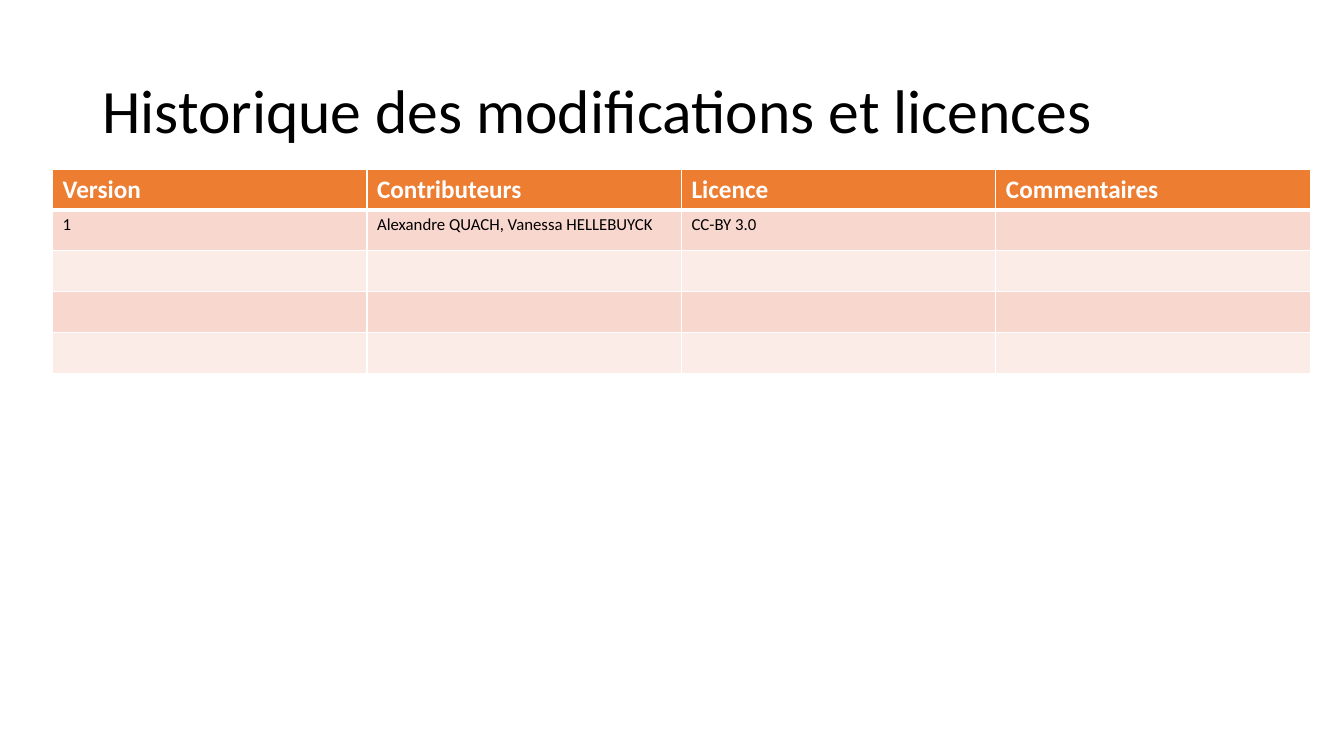
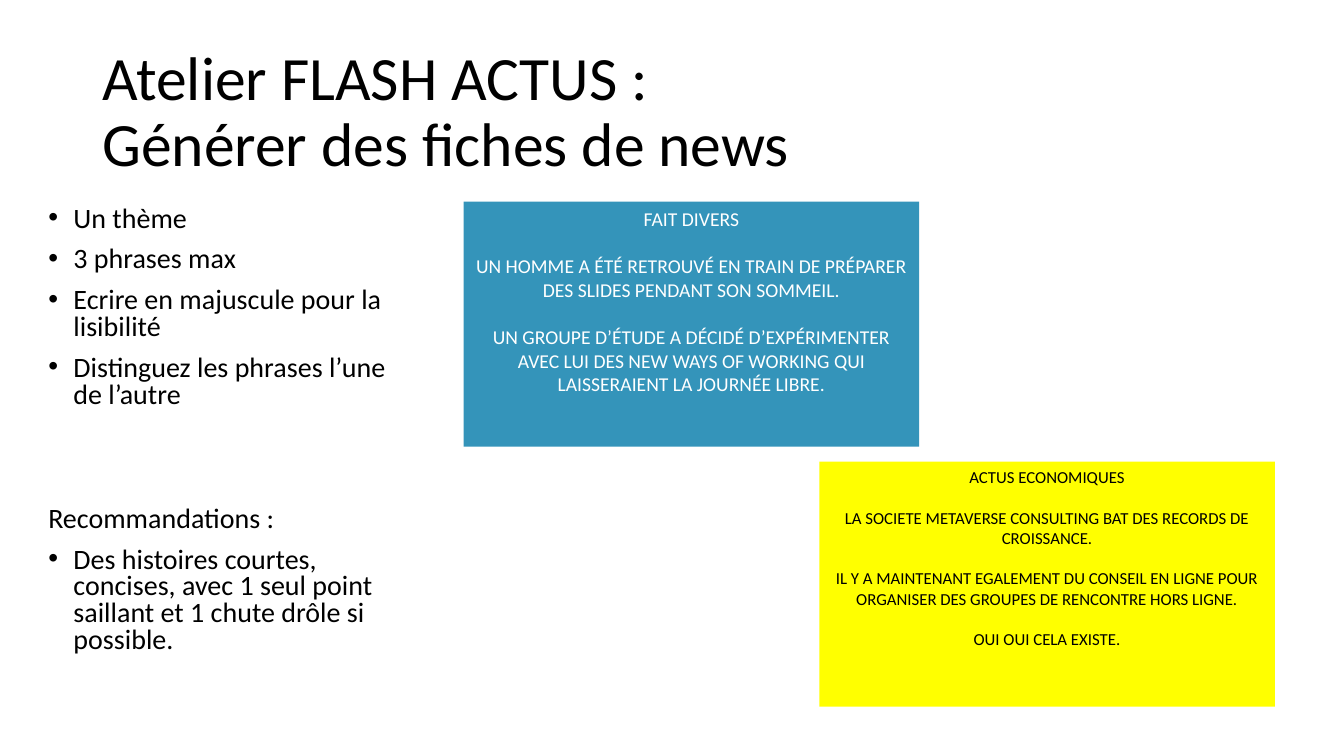
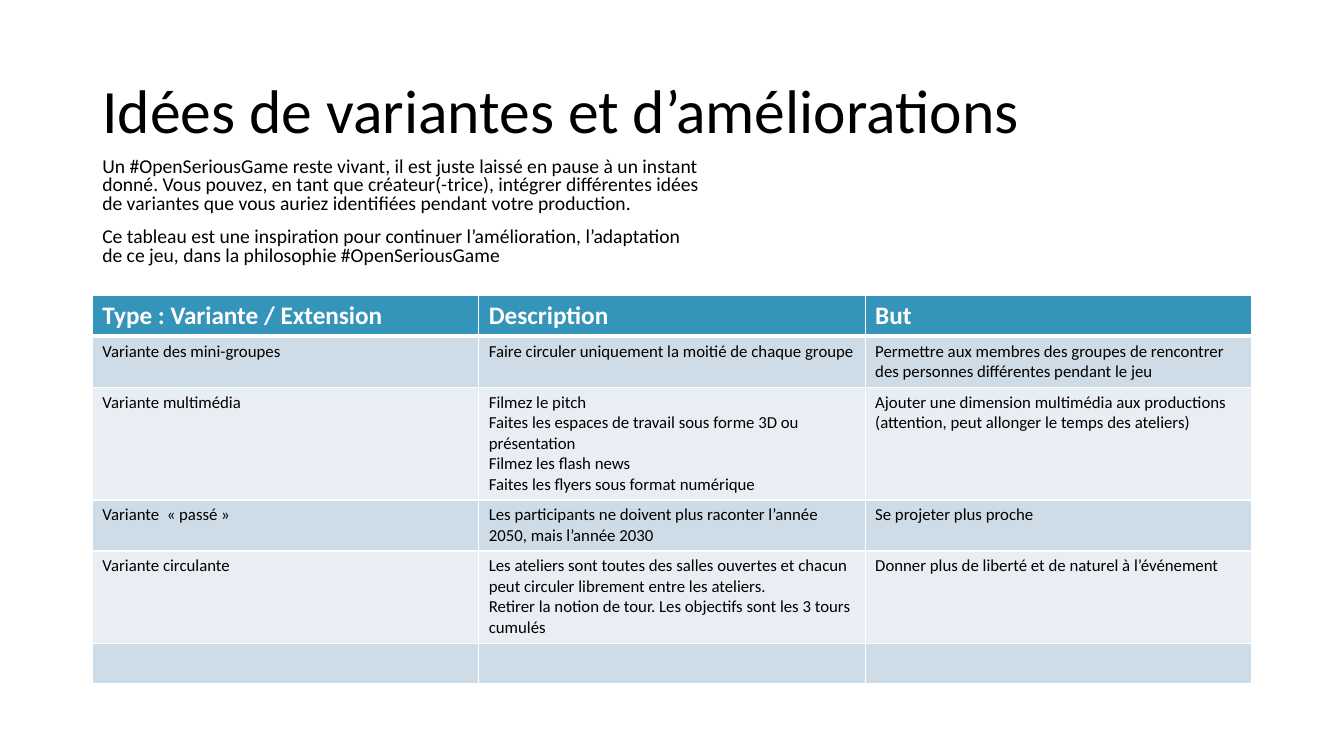
from lxml.etree import SubElement
from pptx import Presentation
from pptx.dml.color import RGBColor
from pptx.enum.shapes import MSO_SHAPE
from pptx.enum.text import MSO_ANCHOR, PP_ALIGN
from pptx.oxml.ns import qn
from pptx.util import Pt

FONT = "Calibri"
BLACK, WHITE = "000000", "FFFFFF"
BLUE, ORANGE, YELLOW = "3494BA", "ED7D31", "FFFF00"
ROW = 29.2
color = RGBColor.from_string


def write(frame, lines, size, ink=BLACK, pitch=1, gap=0, align=PP_ALIGN.LEFT, bold=False, plain=None):
    frame.word_wrap = True
    for i, line in enumerate(lines):
        para = frame.add_paragraph() if i else frame.paragraphs[0]
        para.text = line
        if plain and line != plain:
            props = para._p.get_or_add_pPr()
            props.set("marL", str(Pt(18)))
            props.set("indent", str(Pt(-18)))
            SubElement(props, qn("a:buFont"), typeface="Arial")
            SubElement(props, qn("a:buChar"), char="•")
        para.alignment = align
        para.line_spacing = pitch
        para.space_before = Pt(gap if i else 0)
        para.font.name = FONT
        para.font.size = Pt(size)
        para.font.bold = bold
        para.font.color.rgb = color(ink)


def grid(slide, left, top, width, highs, rows, head, bands):
    count = len(rows[0])
    table = slide.shapes.add_table(
        len(highs), count, Pt(left), Pt(top), Pt(width), Pt(sum(highs))
    ).table
    for col in table.columns:
        col.width = Pt(width / count)
    for r, high in enumerate(highs):
        table.rows[r].height = Pt(high)
        texts = rows[r] if r < len(rows) else [""] * count
        for c, text in enumerate(texts):
            cell = table.cell(r, c)
            props = cell._tc.get_or_add_tcPr()
            for side in "LRTB":
                thick = (r, side) in ((0, "B"), (1, "T"))
                line = SubElement(props, qn("a:ln" + side), w=str(Pt(3 if thick else 1)))
                fill = SubElement(line, qn("a:solidFill"))
                SubElement(fill, qn("a:srgbClr"), val=WHITE)
            cell.fill.solid()
            cell.fill.fore_color.rgb = color(bands[(r - 1) % 2] if r else head)
            if text:
                size, ink = (12, BLACK) if r else (18, WHITE)
                write(cell.text_frame, text.split("\n"), size, ink, bold=r == 0)


deck = Presentation()
deck.slide_width, deck.slide_height = Pt(960), Pt(540)

titles = [
    "Historique des modifications et licences",
    "Atelier FLASH ACTUS :\nGénérer des fiches de news",
    "Idées de variantes et d’améliorations",
]
for title in titles:
    slide = deck.slides.add_slide(deck.slide_layouts[6])
    box = slide.shapes.add_textbox(Pt(66), Pt(28.8), Pt(828), Pt(104.4))
    box.text_frame.vertical_anchor = MSO_ANCHOR.MIDDLE
    write(box.text_frame, [title], 44, pitch=0.9)
past, news, ideas = deck.slides

grid(past, 37.6, 120.7, 898.4, [ROW] * 5, [
    ["Version", "Contributeurs", "Licence", "Commentaires"],
    ["1", "Alexandre QUACH, Vanessa HELLEBUYCK", "CC-BY 3.0", ""],
], ORANGE, ("F8D7CE", "FCECE8"))

advice = "Recommandations :"
rules = news.shapes.add_textbox(Pt(27.4), Pt(144), Pt(261.4), Pt(351.4)).text_frame
write(rules, [
    "Un thème",
    "3 phrases max",
    "Ecrire en majuscule pour la lisibilité",
    "Distinguez les phrases l’une de l’autre",
    advice,
    "Des histoires courtes, concises, avec 1 seul point saillant et 1 chute drôle si possible.",
], 20, pitch=0.8, gap=10, plain=advice)
rules.paragraphs[4].space_before = Pt(69)

cards = [
    (331.2, 144, BLUE, WHITE, 14, [
        "FAIT DIVERS",
        "UN HOMME A ÉTÉ RETROUVÉ EN TRAIN DE PRÉPARER DES SLIDES PENDANT SON SOMMEIL.",
        "UN GROUPE D’ÉTUDE A DÉCIDÉ D’EXPÉRIMENTER AVEC LUI DES NEW WAYS OF WORKING QUI LAISSERAIENT LA JOURNÉE LIBRE.",
    ]),
    (585.2, 329.8, YELLOW, BLACK, 12, [
        "ACTUS ECONOMIQUES",
        "LA SOCIETE METAVERSE CONSULTING BAT DES RECORDS DE CROISSANCE.",
        "IL Y A MAINTENANT EGALEMENT DU CONSEIL EN LIGNE POUR ORGANISER DES GROUPES DE RENCONTRE HORS LIGNE.",
        "OUI OUI CELA EXISTE.",
    ]),
]
for left, top, fill, ink, size, lines in cards:
    card = news.shapes.add_shape(MSO_SHAPE.RECTANGLE, Pt(left), Pt(top), Pt(325.4), Pt(175))
    card.shadow.inherit = False
    card.fill.solid()
    card.fill.fore_color.rgb = color(fill)
    card.line.fill.background()
    card.text_frame.vertical_anchor = MSO_ANCHOR.TOP
    write(card.text_frame, lines, size, ink, gap=size * 1.22, align=PP_ALIGN.CENTER)

grid(ideas, 66, 211, 828, [ROW, 36.5, 80.4, 36.5, 65.8, ROW], [
    ["Type : Variante / Extension", "Description", "But"],
    [
        "Variante des mini-groupes",
        "Faire circuler uniquement la moitié de chaque groupe",
        "Permettre aux membres des groupes de rencontrer des personnes différentes pendant le jeu",
    ],
    [
        "Variante multimédia",
        "Filmez le pitch\n"
        "Faites les espaces de travail sous forme 3D ou présentation\n"
        "Filmez les flash news\n"
        "Faites les flyers sous format numérique",
        "Ajouter une dimension multimédia aux productions (attention, peut allonger le temps des ateliers)",
    ],
    [
        "Variante  « passé »",
        "Les participants ne doivent plus raconter l’année 2050, mais l’année 2030",
        "Se projeter plus proche",
    ],
    [
        "Variante circulante",
        "Les ateliers sont toutes des salles ouvertes et chacun peut circuler librement entre les ateliers.\n"
        "Retirer la notion de tour. Les objectifs sont les 3 tours cumulés",
        "Donner plus de liberté et de naturel à l’événement",
    ],
], BLUE, ("CEDCE7", "E8EEF3"))

intro = ideas.shapes.add_textbox(Pt(66), Pt(109.4), Pt(441.4), Pt(92.2))
write(intro.text_frame, [
    "Un #OpenSeriousGame reste vivant, il est juste laissé en pause à un instant donné. Vous pouvez, en tant que créateur(-trice), intégrer différentes idées de variantes que vous auriez identifiées pendant votre production.",
    "Ce tableau est une inspiration pour continuer l’amélioration, l’adaptation de ce jeu, dans la philosophie #OpenSeriousGame",
], 14, pitch=0.8, gap=10)

deck.save("out.pptx")
